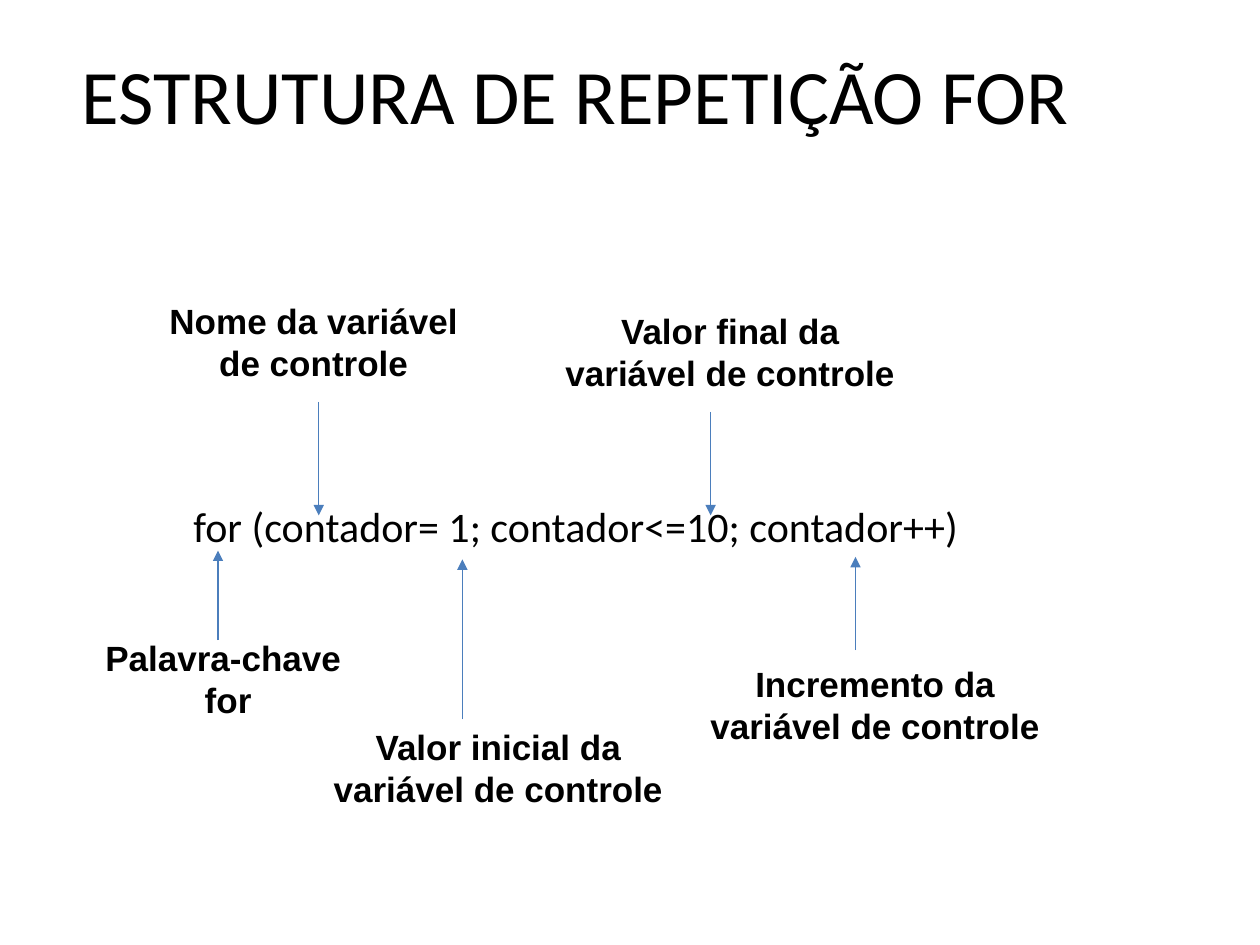
import pptx
import pptx.util
import pptx.dml.color
import pptx.enum.shapes
import pptx.enum.text
import pptx.oxml.ns
import lxml.etree

TITLE = "ESTRUTURA DE REPETIÇÃO FOR"
CODE = "for (contador= 1; contador<=10; contador++)"
LABELS = [
    ("Nome da variável de controle", 1.11, 2.33, 2.76),
    ("Valor final da variável de controle", 4.3, 2.41, 2.99),
    ("Palavra-chave \nfor", 0.55, 5, 2.52),
    ("Valor inicial da variável de controle", 2.46, 5.71, 2.99),
    ("Incremento da variável de controle", 5.45, 5.21, 2.99),
]
ARROWS = [(1.73, 5.08, 4.37), (3.67, 5.71, 4.44), (6.79, 5.16, 4.42),
          (5.64, 3.27, 4.09), (2.53, 3.19, 4.09)]
LEFT, WIDTH, LABEL_HEIGHT = 0.5, 8.14, 0.77
BLACK, BLUE = "000000", "4B7EBC"


def color(value):
    """Turn a hex string into a colour."""
    return pptx.dml.color.RGBColor.from_string(value)


def add_text(slide, text, x, y, w, h, size=20, font="Arial", bold=False):
    """Add centred text, one paragraph for each line."""
    box = slide.shapes.add_textbox(*map(pptx.util.Inches, (x, y, w, h)))
    tf = box.text_frame
    tf.word_wrap = True
    tf.text = text
    for p in tf.paragraphs:
        p.alignment = pptx.enum.text.PP_ALIGN.CENTER
        for r in p.runs:
            r.font.size = pptx.util.Pt(size)
            r.font.name = font
            r.font.bold = bold
            r.font.color.rgb = color(BLACK)


def add_arrow(slide, x, start, end):
    """Add a vertical arrow whose head is at its end."""
    ends = map(pptx.util.Inches, (x, start, x, end))
    line = slide.shapes.add_connector(pptx.enum.shapes.MSO_CONNECTOR.STRAIGHT, *ends)
    line.line.color.rgb = color(BLUE)
    line.line.width = pptx.util.Pt(0.75)
    qn = pptx.oxml.ns.qn
    lxml.etree.SubElement(line.line._get_or_add_ln(), qn("a:tailEnd"), type="triangle")
    lxml.etree.SubElement(line._element.spPr, qn("a:effectLst"))


def main():
    """Build the slide and save it."""
    prs = pptx.Presentation()
    prs.slide_width = pptx.util.Inches(10)
    prs.slide_height = pptx.util.Inches(7.5)
    slide = prs.slides.add_slide(prs.slide_layouts[6])
    add_text(slide, TITLE, LEFT, 0.33, WIDTH, 1.25, size=44, font="Calibri")
    add_text(slide, CODE, LEFT, 3.92, WIDTH, 0.5, size=24, font="Calibri")
    for arrow in ARROWS:
        add_arrow(slide, *arrow)
    for text, x, y, w in LABELS:
        add_text(slide, text, x, y, w, LABEL_HEIGHT, bold=True)
    prs.save("out.pptx")


if __name__ == "__main__":
    main()
